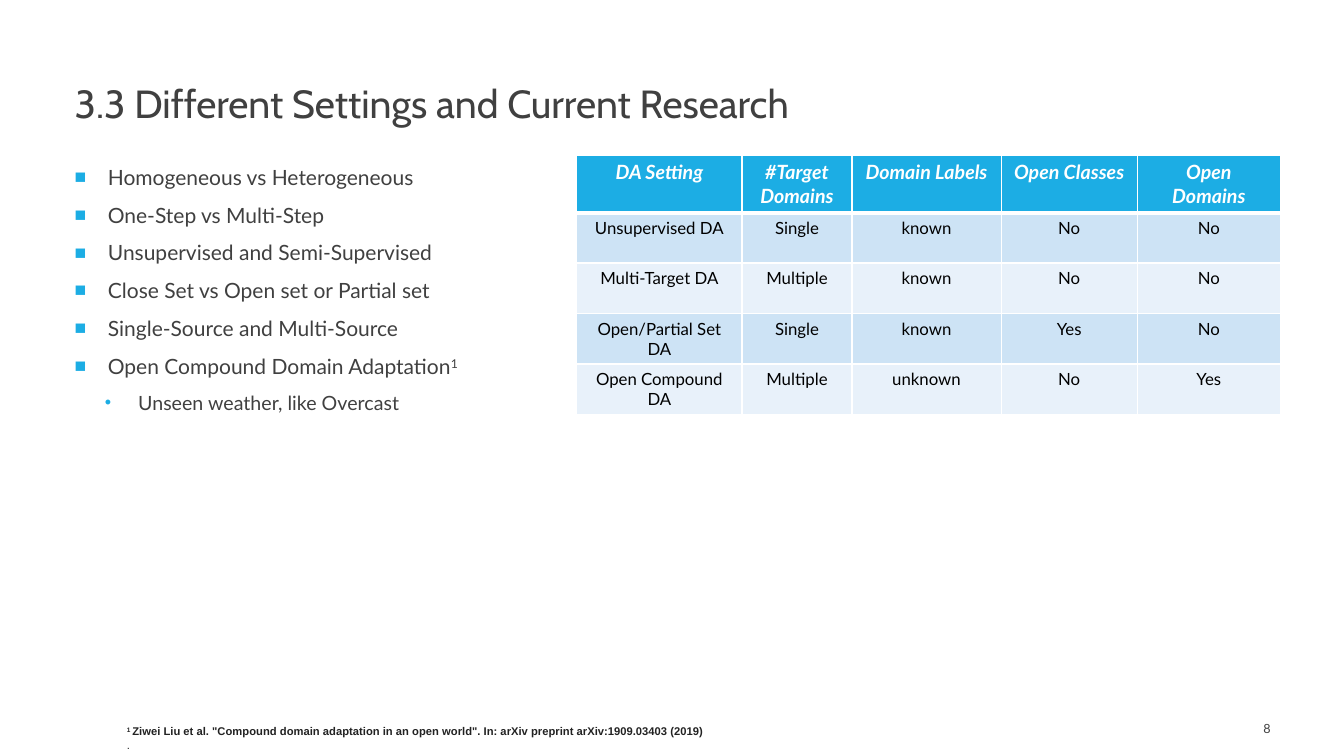
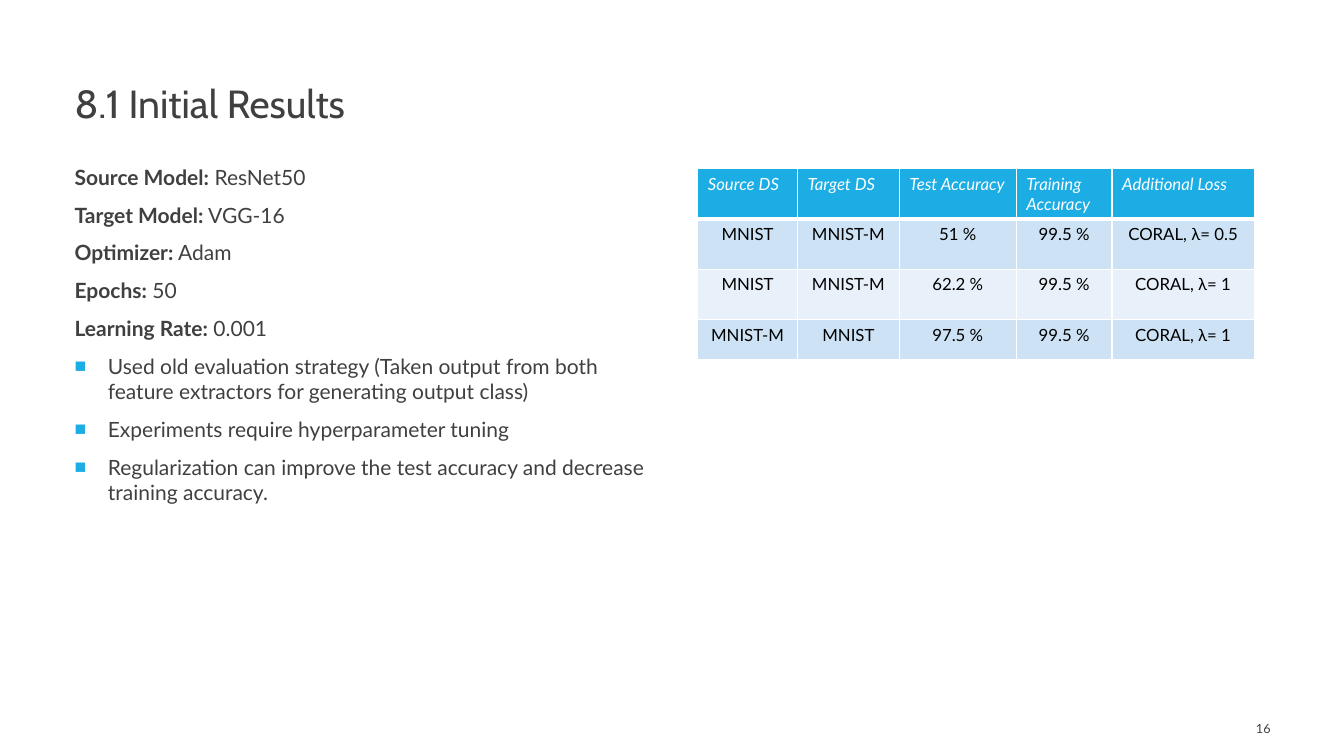
from dataclasses import dataclass

from lxml.etree import SubElement
from pptx import Presentation
from pptx.dml.color import RGBColor
from pptx.enum.text import MSO_ANCHOR as Anchor, MSO_AUTO_SIZE as AutoSize, PP_ALIGN as Align
from pptx.oxml.ns import qn
from pptx.util import Inches, Pt


@dataclass(frozen=True)
class Theme:
    text: str = "404040"
    accent: str = "1CADE4"
    white: str = "FFFFFF"
    black: str = "000000"
    note: str = "222222"
    bands: tuple = ("CDE3F5", "E8F1FA")
    heading_font: str = "Cabin"
    body_font: str = "Lato"
    note_font: str = "Arial"
    title_size: float = 28
    list_size: float = 15
    sublist_size: float = 14
    header_size: float = 14
    cell_size: float = 12
    number_size: float = 9
    note_size: float = 8


THEME = Theme()
TITLE_BOX = (0.64, 0, 12.06, 1.3)
NUMBER_BOX = (11.55, 7.03, 1.15, 0.4)
NOTE_BOX = (1.16, 7.14, 11.69, 0.37)
BULLETS = {"plain": (None, 0, 0, 0),
           "item": ("■", 0.33, -0.33, 0),
           "subitem": ("•", 0.63, -0.33, 1)}


def set_all(target, **values):
    for name, value in values.items():
        setattr(target, name, value)


def place(shape, box):
    left, top, width, height = map(Inches, box)
    set_all(shape, left=left, top=top, width=width, height=height)


def add_run(p, text, size, color=THEME.text, font=THEME.body_font,
            bold=False, italic=False, raised=0):
    r = p.add_run()
    r.text = text
    set_all(r.font, name=font, size=Pt(size), bold=bold, italic=italic)
    r.font.color.rgb = RGBColor.from_string(color)
    if raised:
        r.font._element.set("baseline", str(raised * 1000))


def set_bullet(p, kind):
    char, margin, indent, p.level = BULLETS[kind]
    pPr = p._p.get_or_add_pPr()
    pPr.set("marL", str(Inches(margin)))
    pPr.set("indent", str(Inches(indent)))
    if char is None:
        SubElement(pPr, qn("a:buNone"))
        return
    color = SubElement(pPr, qn("a:buClr"))
    SubElement(color, qn("a:srgbClr")).set("val", THEME.accent)
    SubElement(pPr, qn("a:buSzPct")).set("val", "92000")
    SubElement(pPr, qn("a:buChar")).set("char", char)


def add_title(slide, text):
    title = slide.shapes.title
    place(title, TITLE_BOX)
    tf = title.text_frame
    set_all(tf, vertical_anchor=Anchor.BOTTOM, auto_size=AutoSize.NONE, word_wrap=True)
    p = tf.paragraphs[0]
    p.alignment = Align.LEFT
    add_run(p, text, THEME.title_size, font=THEME.heading_font)


def add_list(slide, box, entries):
    body = slide.placeholders[1]
    place(body, box)
    tf = body.text_frame
    set_all(tf, auto_size=AutoSize.NONE, word_wrap=True)
    for i, (kind, *runs) in enumerate(entries):
        p = tf.add_paragraph() if i else tf.paragraphs[0]
        size = THEME.sublist_size if kind == "subitem" else THEME.list_size
        set_all(p, space_before=Pt(size * 0.2), space_after=Pt(6), alignment=Align.LEFT)
        set_bullet(p, kind)
        for text, fmt in runs:
            add_run(p, text, size, **fmt)


def add_text_box(slide, box):
    sp = slide.shapes.add_textbox(*map(Inches, box))
    sp.text_frame.word_wrap = True
    return sp.text_frame


def add_page_number(slide, number):
    tf = add_text_box(slide, NUMBER_BOX)
    tf.vertical_anchor = Anchor.MIDDLE
    p = tf.paragraphs[0]
    p.alignment = Align.RIGHT
    add_run(p, str(number), THEME.number_size)


def add_footnote(slide, mark, citation, ending):
    tf = add_text_box(slide, NOTE_BOX)
    note = dict(size=THEME.note_size, color=THEME.note, font=THEME.note_font)
    p = tf.paragraphs[0]
    add_run(p, mark, bold=True, raised=26, **note)
    add_run(p, citation, bold=True, **note)
    add_run(tf.add_paragraph(), ending, **note)


def set_borders(cell, row):
    widths = {"lnL": 1, "lnR": 1, "lnT": 3 if row == 1 else 1, "lnB": 3 if row == 0 else 1}
    tcPr = cell._tc.get_or_add_tcPr()
    for side, width in widths.items():
        line = SubElement(tcPr, qn(f"a:{side}"))
        line.set("w", str(Pt(width)))
        fill = SubElement(line, qn("a:solidFill"))
        SubElement(fill, qn("a:srgbClr")).set("val", THEME.white)


def add_data_table(slide, origin, widths, heights, rows, header, header_align):
    size = (sum(widths), sum(heights))
    table = slide.shapes.add_table(len(rows), len(widths),
                                   *map(Inches, origin + size)).table
    for column, width in zip(table.columns, widths):
        column.width = Inches(width)
    for i, (row, height, values) in enumerate(zip(table.rows, heights, rows)):
        row.height = Inches(height)
        fill = THEME.bands[(i - 1) % 2] if i else THEME.accent
        fmt = dict(size=THEME.cell_size, color=THEME.black) if i else header
        for cell, value in zip(row.cells, values):
            set_borders(cell, i)
            cell.fill.solid()
            cell.fill.fore_color.rgb = RGBColor.from_string(fill)
            p = cell.text_frame.paragraphs[0]
            p.alignment = Align.CENTER if i else header_align
            add_run(p, value, **fmt)


def add_content_slide(prs, title, number, list_box, entries):
    slide = prs.slides.add_slide(prs.slide_layouts[1])
    add_title(slide, title)
    add_list(slide, list_box, entries)
    add_page_number(slide, number)
    return slide


def build_settings_slide(prs):
    topics = ["Homogeneous vs Heterogeneous", "One-Step vs Multi-Step",
              "Unsupervised and Semi-Supervised", "Close Set vs Open set or Partial set",
              "Single-Source and Multi-Source"]
    entries = [("item", (topic, {})) for topic in topics]
    entries += [("item", ("Open Compound Domain Adaptation", {}), ("1", {"raised": 30})),
                ("subitem", ("Unseen weather, like Overcast", {}))]
    slide = add_content_slide(prs, "3.3 Different Settings and Current Research", 8,
                              (0.64, 1.58, 12.06, 4.95), entries)
    rows = [
        ("DA Setting", "#Target Domains", "Domain Labels", "Open Classes", "Open Domains"),
        ("Unsupervised DA", "Single", "known", "No", "No"),
        ("Multi-Target DA", "Multiple", "known", "No", "No"),
        ("Open/Partial Set DA", "Single", "known", "Yes", "No"),
        ("Open Compound DA", "Multiple", "unknown", "No", "Yes"),
    ]
    header = dict(size=THEME.header_size, color=THEME.white, bold=True, italic=True)
    add_data_table(slide, (5.72, 1.54), (1.64, 1.09, 1.48, 1.35, 1.42),
                   (0.57, 0.5, 0.5, 0.5, 0.5), rows, header, Align.CENTER)
    add_footnote(slide, "1 ", 'Ziwei Liu et al. "Compound domain adaptation in an open world". '
                 "In: arXiv preprint arXiv:1909.03403 (2019)", ".")


def build_results_slide(prs):
    settings = [("Source Model:", "ResNet50"), ("Target Model:", "VGG-16"),
                ("Optimizer:", "Adam"), ("Epochs:", "50"), ("Learning Rate:", "0.001")]
    remarks = ["Used old evaluation strategy (Taken output from both feature extractors "
               "for generating output class)",
               "Experiments require hyperparameter tuning",
               "Regularization can improve the test accuracy and decrease training accuracy."]
    entries = [("plain", (label, {"bold": True}), (f" {value}", {}))
               for label, value in settings]
    entries += [("item", (remark, {})) for remark in remarks]
    slide = add_content_slide(prs, "8.1 Initial Results", 16,
                              (0.64, 1.58, 6.03, 4.95), entries)
    rows = [
        ("Source DS", "Target DS", "Test Accuracy", "Training Accuracy", "Additional Loss"),
        ("MNIST", "MNIST-M", "51 %", "99.5 %", "CORAL, λ= 0.5"),
        ("MNIST", "MNIST-M", "62.2 %", "99.5 %", "CORAL, λ= 1"),
        ("MNIST-M", "MNIST", "97.5 %", "99.5 %", "CORAL, λ= 1"),
    ]
    header = dict(size=THEME.cell_size, color=THEME.white, italic=True)
    add_data_table(slide, (6.92, 1.67), (0.99, 1.01, 1.16, 0.95, 1.41),
                   (0.5, 0.5, 0.5, 0.4), rows, header, Align.LEFT)


def main():
    prs = Presentation()
    set_all(prs, slide_width=Inches(13.33), slide_height=Inches(7.5))
    build_settings_slide(prs)
    build_results_slide(prs)
    prs.save("out.pptx")


if __name__ == "__main__":
    main()
